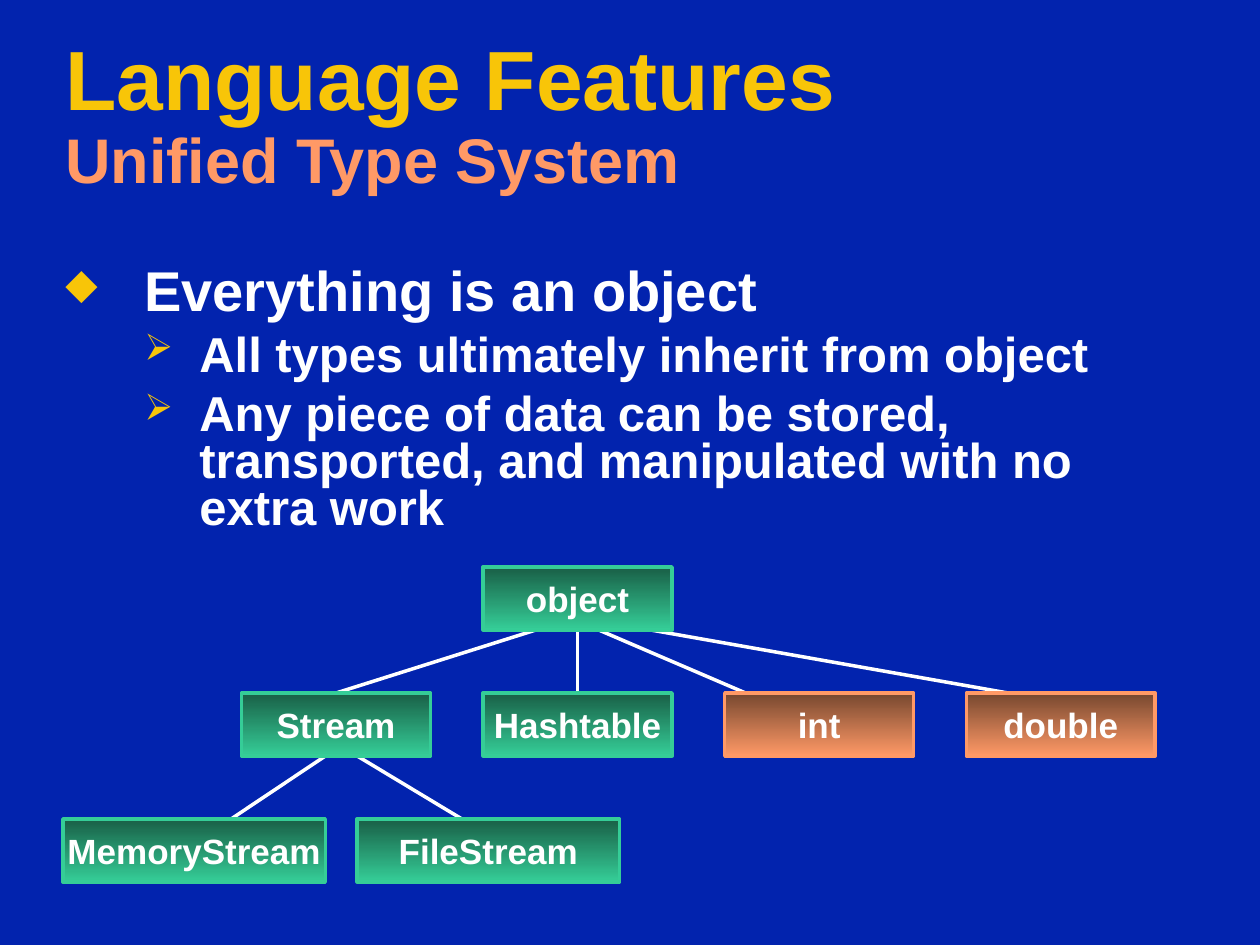
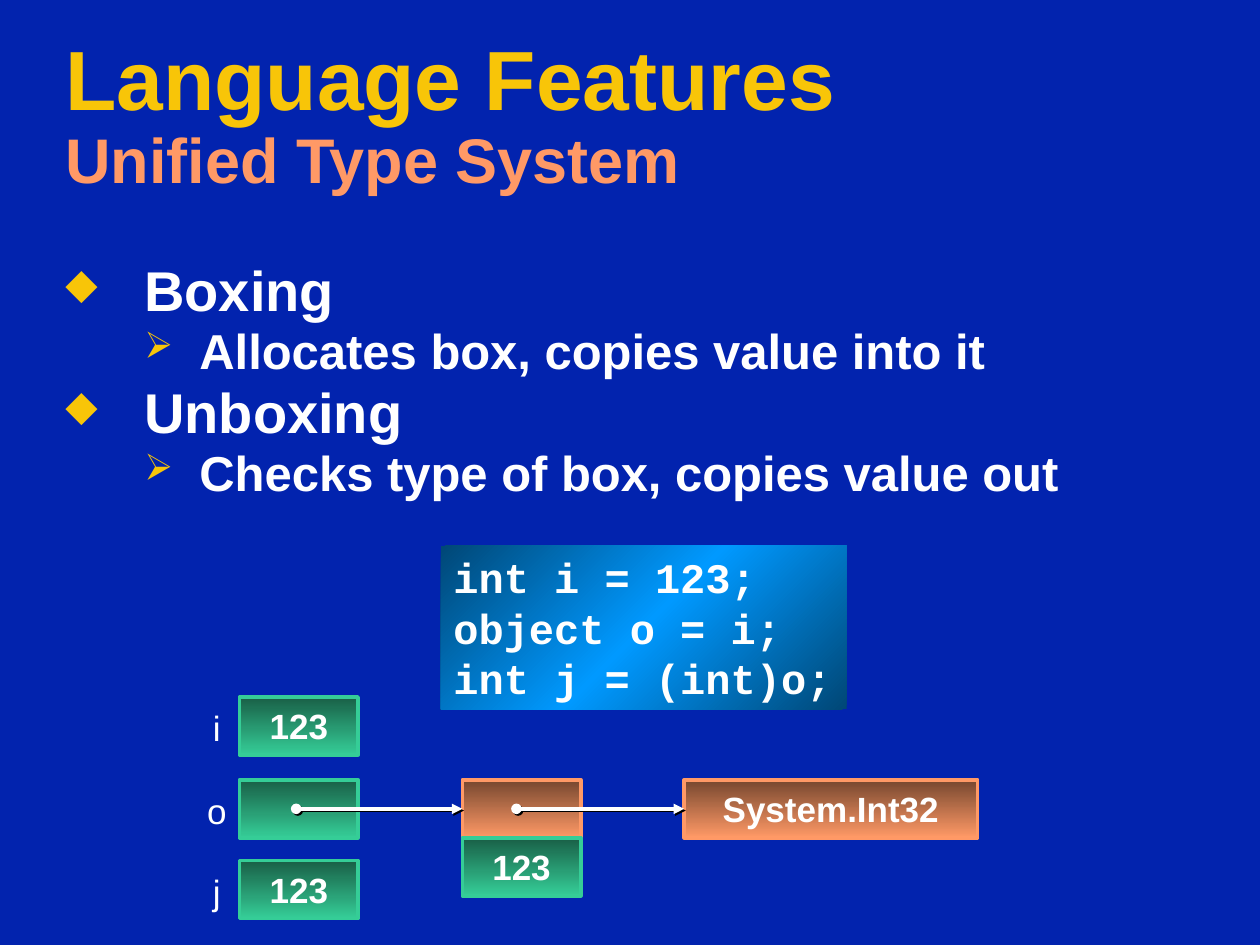
from lxml.etree import SubElement
from pptx import Presentation
from pptx.dml.color import RGBColor
from pptx.enum.shapes import MSO_CONNECTOR, MSO_SHAPE
from pptx.enum.text import MSO_ANCHOR, MSO_AUTO_SIZE, PP_ALIGN
from pptx.oxml.ns import qn
from pptx.util import Cm, Pt

NAVY, GOLD, ORANGE, WHITE, BLACK = "0223AE", "F8C508", "FF9966", "FFFFFF", "000000"
GREEN_BOX = ("195F46", "35CD97")
ORANGE_BOX = ("76472F", ORANGE)
BLUE_BOX = ("004776", "0099FF", "004776")
TOP, LEFT, BOTTOM = 0, 1, 2


def rgb(value):
    """Turn a hex string into a colour."""
    return RGBColor.from_string(value)


def apply(obj, **fmt):
    """Set each format value on an object."""
    for name, value in fmt.items():
        setattr(obj, name, value)


def add(parent, tag, **attrs):
    """Append a drawing element with its attributes."""
    return SubElement(parent, qn("a:" + tag), {k: str(v) for k, v in attrs.items()})


class Deck:
    """Hold the style and the current slide."""

    levels = (
        dict(size=32, margin=1.59, indent=-1.59, char="◆"),
        dict(size=28, margin=2.7, indent=-1.11, char="➢"),
    )

    def __init__(self):
        """Start a 4:3 presentation."""
        self.prs = Presentation()
        apply(self.prs, slide_width=Cm(25.4), slide_height=Cm(19.05))
        self.s = None

    def slide(self, title, subtitle):
        """Add a slide with its background and two-line title."""
        self.s = self.prs.slides.add_slide(self.prs.slide_layouts[6])
        fill = self.s.background.fill
        fill.solid()
        fill.fore_color.rgb = rgb(NAVY)
        tf = self.textbox(1.07, 0.64, 23.7, 3.45)
        p = tf.paragraphs[0]
        p.line_spacing = 0.9
        self.run(p, title, 48, GOLD)
        p.add_line_break()
        self.run(p, subtitle, 36, ORANGE)

    def textbox(self, x, y, w, h, **fmt):
        """Add an empty text box and return its text frame."""
        tf = self.s.shapes.add_textbox(Cm(x), Cm(y), Cm(w), Cm(h)).text_frame
        apply(tf, **{"word_wrap": True, "auto_size": MSO_AUTO_SIZE.SHAPE_TO_FIT_TEXT, **fmt})
        return tf

    def run(self, p, text, size, color=WHITE, name="Arial", bold=True):
        """Add a formatted run to a paragraph."""
        r = p.add_run()
        r.text = text
        apply(r.font, size=Pt(size), name=name, bold=bold)
        r.font.color.rgb = rgb(color)

    def bullets(self, w, h, before, items):
        """Add the bulleted body, with the space before in percent."""
        tf = self.textbox(1.07, 5.29, w, h)
        for i, (level, text) in enumerate(items):
            style = self.levels[level]
            p = tf.paragraphs[0] if i == 0 else tf.add_paragraph()
            apply(p, level=level, line_spacing=0.8)
            pPr = p._p.get_or_add_pPr()
            pPr.set("marL", str(Cm(style["margin"])))
            pPr.set("indent", str(Cm(style["indent"])))
            if i:
                add(add(pPr, "spcBef"), "spcPct", val=before * 1000)
            add(add(pPr, "buClr"), "srgbClr", val=GOLD)
            add(pPr, "buSzPct", val=75000)
            add(pPr, "buChar", char=style["char"])
            self.run(p, text, style["size"])

    def panel(self, x, y, w, h, colors, angle=270):
        """Add a rectangle with an evenly spaced gradient and no outline."""
        sp = self.s.shapes.add_shape(MSO_SHAPE.RECTANGLE, Cm(x), Cm(y), Cm(w), Cm(h))
        sp.shadow.inherit = False
        sp.fill.gradient()
        sp.fill.gradient_angle = angle
        stops = sp._element.spPr.find(".//" + qn("a:gsLst"))
        stops.clear()
        for i, color in enumerate(colors):
            gs = add(stops, "gs", pos=100000 * i // (len(colors) - 1))
            add(gs, "srgbClr", val=color)
        sp.line.fill.background()
        apply(sp.text_frame, word_wrap=False, vertical_anchor=MSO_ANCHOR.MIDDLE)
        return sp

    def box(self, text, x, y, w, h, colors=GREEN_BOX):
        """Add an outlined box with a centred label."""
        sp = self.panel(x, y, w, h, colors)
        sp.line.color.rgb = rgb(colors[-1])
        sp.line.width = Pt(2)
        if text:
            p = sp.text_frame.paragraphs[0]
            p.alignment = PP_ALIGN.CENTER
            self.run(p, text, 20)
        return sp

    def code(self, x, y, w, h, lines):
        """Add a code panel."""
        tf = self.panel(x, y, w, h, BLUE_BOX, 315).text_frame
        for i, line in enumerate(lines):
            p = tf.paragraphs[0] if i == 0 else tf.add_paragraph()
            p.alignment = PP_ALIGN.LEFT
            self.run(p, line, 24, name="Courier New")

    def label(self, text, x, y, w, h):
        """Add a plain centred label."""
        tf = self.textbox(x, y, w, h, word_wrap=False, vertical_anchor=MSO_ANCHOR.MIDDLE)
        p = tf.paragraphs[0]
        p.alignment = PP_ALIGN.CENTER
        self.run(p, text, 20, bold=False)

    def line(self, start, end, begin_at=None, end_at=None):
        """Add a line behind the boxes, joined to the given sides."""
        c = self.s.shapes.add_connector(MSO_CONNECTOR.STRAIGHT, *map(Cm, start + end))
        c.line.color.rgb = rgb(WHITE)
        c.line.width = Pt(2)
        add(c._element.spPr, "effectLst")
        if begin_at:
            c.begin_connect(*begin_at)
        if end_at:
            c.end_connect(*end_at)
        self.s.shapes._spTree.insert(2, c._element)
        return c

    def arrow(self, start, end, end_at):
        """Add a shadowed reference arrow in front of the boxes."""
        c = self.line(start, end, end_at=end_at)
        self.s.shapes._spTree.append(c._element)
        spPr = c._element.spPr
        ln = spPr.find(qn("a:ln"))
        add(ln, "headEnd", type="oval")
        add(ln, "tailEnd", type="triangle")
        shadow = add(spPr.find(qn("a:effectLst")), "outerShdw", dist=Pt(1.4), dir=2700000)
        add(shadow, "srgbClr", val=BLACK)


def type_tree(deck):
    """Build the slide with the type hierarchy."""
    deck.slide("Language Features", "Unified Type System")
    deck.bullets(22.65, 5.72, 25, [
        (0, "Everything is an object"),
        (1, "All types ultimately inherit from object"),
        (1, "Any piece of data can be stored, transported, and manipulated with no extra work"),
    ])
    col, w, h = 4.87, 3.81, 1.27
    root_y, type_y, leaf_y = (11.43 + 2.54 * i for i in range(3))
    root = deck.box("object", 2 * col, root_y, w, h)
    types = [("Stream", GREEN_BOX), ("Hashtable", GREEN_BOX),
             ("int", ORANGE_BOX), ("double", ORANGE_BOX)]
    stream, table, *_ = [deck.box(name, col * i, type_y, w, h, colors)
                         for i, (name, colors) in enumerate(types, 1)]
    for name, x in (("MemoryStream", 1.27), ("FileStream", 7.2)):
        deck.box(name, x, leaf_y, 5.29, h)
    links = [
        (11.64, 11.64, root_y, (root, BOTTOM), (table, TOP)),
        (10.8, 6.78, root_y, None, (stream, TOP)),
        (12.07, 15.03, root_y, None, None),
        (13.12, 20.32, root_y, None, None),
        (7.2, 9.31, type_y, None, None),
        (6.56, 4.66, type_y, None, None),
    ]
    for x1, x2, y, begin_at, end_at in links:
        deck.line((x1, y + h), (x2, y + 2.54), begin_at, end_at)


def boxing(deck):
    """Build the slide on boxing and unboxing."""
    deck.slide("Language Features", "Unified Type System")
    deck.bullets(23.7, 5.05, 20, [
        (0, "Boxing"),
        (1, "Allocates box, copies value into it"),
        (0, "Unboxing"),
        (1, "Checks type of box, copies value out"),
    ])
    deck.code(8.89, 11, 8.18, 3.3, ["int i = 123;", "object o = i;", "int j = (int)o;"])
    w, h, ref_y = 2.39, 1.17, 15.72
    for name, value, y in (("i", "123", 14.05), ("o", "", ref_y), ("j", "123", 17.35)):
        deck.box(value, 4.83, y, w, h)
        deck.label(name, 3.92, y + 0.08, 0.9, 1.09)
    header = deck.box("", 9.32, ref_y, w, h, ORANGE_BOX)
    deck.box("123", 9.32, ref_y + h, w, h)
    type_box = deck.box("System.Int32", 13.79, ref_y, 5.92, h, ORANGE_BOX)
    mid_y = ref_y + h / 2
    for x, target, target_x in ((5.97, header, 9.32), (10.41, type_box, 13.79)):
        deck.arrow((x, mid_y), (target_x, mid_y), (target, LEFT))


def main():
    """Build and save the slides."""
    deck = Deck()
    type_tree(deck)
    boxing(deck)
    deck.prs.save("out.pptx")


if __name__ == "__main__":
    main()
